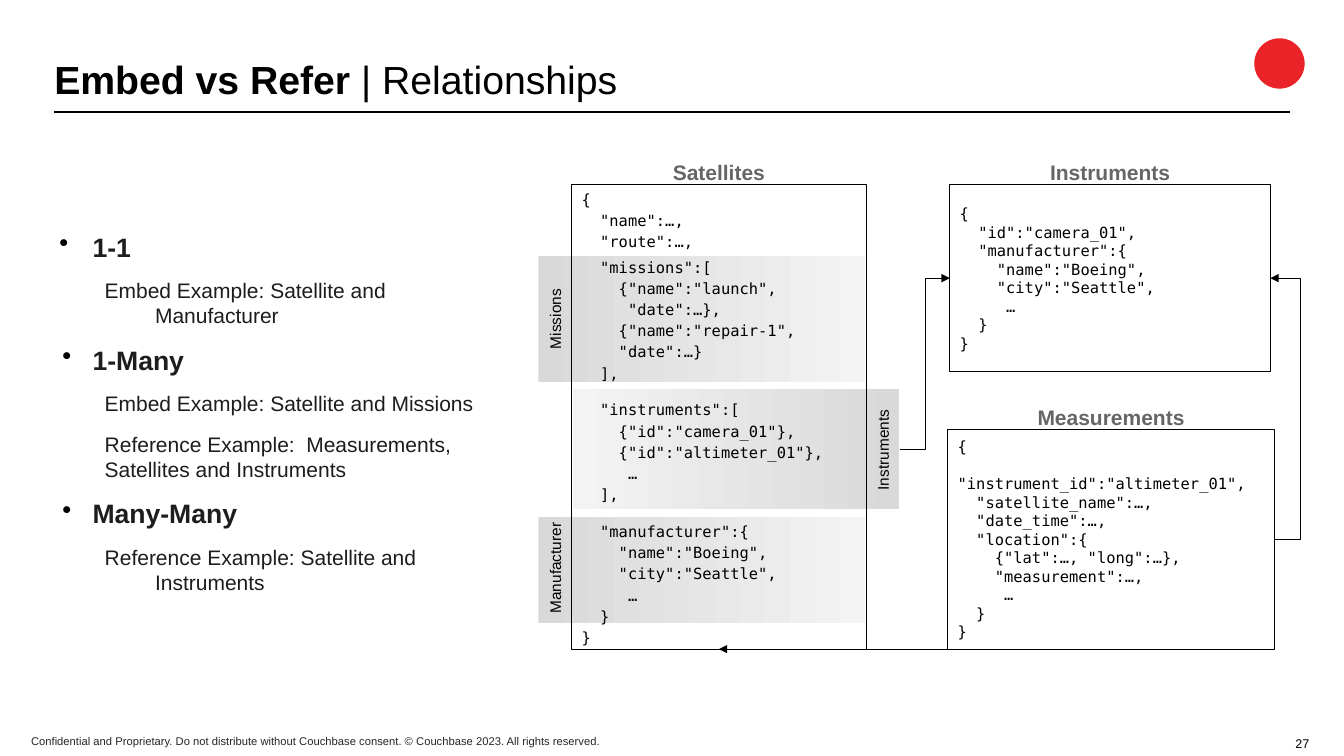
from lxml.etree import SubElement
from pptx import Presentation
from pptx.dml.color import RGBColor
from pptx.enum.shapes import MSO_CONNECTOR, MSO_SHAPE
from pptx.enum.text import MSO_ANCHOR, PP_ALIGN
from pptx.oxml.ns import qn
from pptx.util import Inches, Pt


def write(shape, lines, font, color, align=PP_ALIGN.LEFT, anchor=MSO_ANCHOR.MIDDLE,
          margin=0.1, spacing=1.0):
    frame = shape.text_frame
    frame.text = "\n".join(lines)
    settings = {"word_wrap": True, "vertical_anchor": anchor,
                "margin_left": Inches(0.1), "margin_right": Inches(0.1),
                "margin_top": Inches(margin), "margin_bottom": Inches(margin)}
    for name, value in settings.items():
        setattr(frame, name, value)
    for paragraph in frame.paragraphs:
        paragraph.alignment = align
        paragraph.line_spacing = spacing
        for run in paragraph.runs:
            for name, value in font.items():
                setattr(run.font, name, value)
            run.font.color.rgb = RGBColor.from_string(color)
    return frame


def style_connector(connector, width, arrow=None):
    connector.line.color.rgb = RGBColor.from_string("000000")
    connector.line.width = Pt(width)
    properties = connector._element.spPr
    if arrow:
        SubElement(properties.find(qn("a:ln")), qn(arrow), type="triangle")
    SubElement(properties, qn("a:effectLst"))


presentation = Presentation()
presentation.slide_width = Inches(13.33)
presentation.slide_height = Inches(7.5)
slide = presentation.slides.add_slide(presentation.slide_layouts[6])
shapes = slide.shapes

footer = shapes.add_textbox(Inches(0.21), Inches(7.23), Inches(6.2), Inches(0.24))
write(footer, ["Confidential and Proprietary. Do not distribute without Couchbase consent. "
               "© Couchbase 2023. All rights reserved."],
      {"name": "Arial", "size": Pt(8)}, "262626", anchor=MSO_ANCHOR.BOTTOM, margin=0.05)

page_number = shapes.add_textbox(Inches(12.75), Inches(7.26), Inches(0.58), Inches(0.24))
write(page_number, ["27"], {"name": "Arial", "size": Pt(9)}, "000000", margin=0)

badge = shapes.add_shape(MSO_SHAPE.OVAL, Inches(12.44), Inches(0.38), Inches(0.5), Inches(0.5))
badge.shadow.inherit = False
badge.fill.solid()
badge.fill.fore_color.rgb = RGBColor.from_string("EA2328")
badge.line.fill.background()

title_rule = shapes.add_connector(MSO_CONNECTOR.STRAIGHT, Inches(0.54), Inches(1.11),
                                  Inches(12.79), Inches(1.11))
style_connector(title_rule, 1)

title = shapes.add_textbox(Inches(0.44), Inches(0.51), Inches(11.96), Inches(0.6))
title_frame = write(title, ["Embed vs Refer "], {"name": "Arial", "size": Pt(28), "bold": True},
                    "000000", margin=0.05, spacing=0.9)
subject = title_frame.paragraphs[0].add_run()
subject.text = "| Relationships"
for name, value in {"name": "Arial", "size": Pt(28), "bold": False}.items():
    setattr(subject.font, name, value)
subject.font.color.rgb = RGBColor.from_string("000000")

bands = [
    ("Missions", 5.34, 2.54, 1.25, 5.505, 3.165, ("D9D9D9", "F3F3F3")),
    ("Instruments", 5.68, 3.86, 1.19, 8.755, 4.465, ("F3F3F3", "D9D9D9")),
    ("Manufacturer", 5.34, 5.13, 1.05, 5.505, 5.635, ("D9D9D9", "F3F3F3")),
]
for label, left, top, height, center_x, center_y, colors in bands:
    band = shapes.add_shape(MSO_SHAPE.RECTANGLE, Inches(left), Inches(top),
                            Inches(3.24), Inches(height))
    band.shadow.inherit = False
    band.line.fill.background()
    band.fill.gradient()
    band.fill.gradient_angle = 0
    for stop, color in zip(band.fill.gradient_stops, colors):
        stop.color.rgb = RGBColor.from_string(color)

satellites_code = """{
  "name":…,
  "route":…,
  "missions":[
    {"name":"launch",
     "date":…},
    {"name":"repair-1",
    "date":…}
  ],
  "instruments":[
    {"id":"camera_01"},
    {"id":"altimeter_01"},
     …
  ],
  "manufacturer":{
    "name":"Boeing",
    "city":"Seattle",
     …
  }
}"""
instruments_code = """{
  "id":"camera_01",
  "manufacturer":{
    "name":"Boeing",
    "city":"Seattle",
     …
  }
}"""
measurements_code = """{
  "instrument_id":"altimeter_01",
  "satellite_name":…,
  "date_time":…,
  "location":{
    {"lat":…, "long":…},
    "measurement":…,
     …
  }
}"""
documents = [
    ("Satellites", 5.67, 1.83, 2.92, 4.61, 1.15, satellites_code),
    ("Instruments", 9.42, 1.83, 3.18, 1.86, 1.0, instruments_code),
    ("Measurements", 9.4, 4.26, 3.24, 2.18, 1.0, measurements_code),
]
boxes = {}
for heading, left, top, width, height, spacing, code in documents:
    box = shapes.add_shape(MSO_SHAPE.RECTANGLE, Inches(left), Inches(top),
                           Inches(width), Inches(height))
    box.shadow.inherit = False
    box.fill.background()
    box.line.color.rgb = RGBColor.from_string("000000")
    box.line.width = Pt(0.75)
    write(box, code.split("\n"), {"name": "DejaVu Sans Mono", "size": Pt(11)}, "000000",
          spacing=spacing)
    boxes[heading] = box
    caption = shapes.add_textbox(Inches(left), Inches(top - 0.35), Inches(width), Inches(0.45))
    write(caption, [heading], {"name": "Arial", "size": Pt(15), "bold": True}, "666666",
          align=PP_ALIGN.CENTER, anchor=MSO_ANCHOR.TOP)
for index, points in {3: 3, 9: 11, 14: 11}.items():
    boxes["Satellites"].text_frame.paragraphs[index].space_before = Pt(points)

for label, left, top, height, center_x, center_y, colors in bands:
    band_label = shapes.add_textbox(Inches(center_x - 0.745), Inches(center_y - 0.115),
                                    Inches(1.49), Inches(0.23))
    band_label.rotation = 270
    write(band_label, [label], {"name": "Arial", "size": Pt(11)}, "000000",
          align=PP_ALIGN.CENTER)

for start_x, start_y, end_x, end_y, bend in [(8.93, 4.46, 9.42, 2.76, 50000),
                                             (12.64, 5.35, 12.6, 2.76, -634100)]:
    reference = shapes.add_connector(MSO_CONNECTOR.ELBOW, Inches(start_x), Inches(start_y),
                                     Inches(end_x), Inches(end_y))
    adjustments = reference._element.spPr.find(qn("a:prstGeom")).find(qn("a:avLst"))
    SubElement(adjustments, qn("a:gd"), name="adj1", fmla=f"val {bend}")
    style_connector(reference, 0.75, "a:tailEnd")

satellite_link = shapes.add_connector(MSO_CONNECTOR.STRAIGHT, Inches(7.13), Inches(6.44),
                                      Inches(11.02), Inches(6.44))
satellite_link.begin_connect(boxes["Satellites"], 2)
satellite_link.end_connect(boxes["Measurements"], 2)
style_connector(satellite_link, 0.75, "a:headEnd")

relationships = [
    ("1-1", 0.38, -0.33, []),
    ("Embed Example: Satellite and\vManufacturer", 1, -0.5, []),
    ("1-Many", 0.38, -0.3, []),
    ("Embed Example: Satellite and Missions", 1, -0.5, []),
    ("Reference Example:\tMeasurements,\v\tSatellites and Instruments", 0, 0.5, [0.75, 2.55]),
    ("Many-Many", 0.38, -0.3, []),
    ("Reference Example: Satellite and\vInstruments", 1, -0.5, []),
]
summary = shapes.add_textbox(Inches(0.44), Inches(1.43), Inches(4.87), Inches(5.33))
summary_frame = write(summary, [row[0] for row in relationships],
                      {"name": "Arial", "size": Pt(15)}, "1E1C1C", margin=0.05)
for index, (text, margin, indent, tabs) in enumerate(relationships):
    paragraph = summary_frame.paragraphs[index]
    if index:
        paragraph.space_before = Pt(11)
    properties = paragraph._p.get_or_add_pPr()
    properties.set("marL", str(Inches(margin)))
    properties.set("indent", str(Inches(indent)))
    if "Example" not in text:
        bullet_color = SubElement(properties, qn("a:buClr"))
        SubElement(bullet_color, qn("a:srgbClr"), val="000000")
        SubElement(properties, qn("a:buChar"), char="•")
        for run in paragraph.runs:
            run.font.size = Pt(19)
            run.font.bold = True
    if tabs:
        tab_list = SubElement(properties, qn("a:tabLst"))
        for position in tabs:
            SubElement(tab_list, qn("a:tab"), pos=str(Inches(position)), algn="l")
summary_frame.paragraphs[len(relationships) - 1].space_after = Pt(11)

presentation.save("out.pptx")
